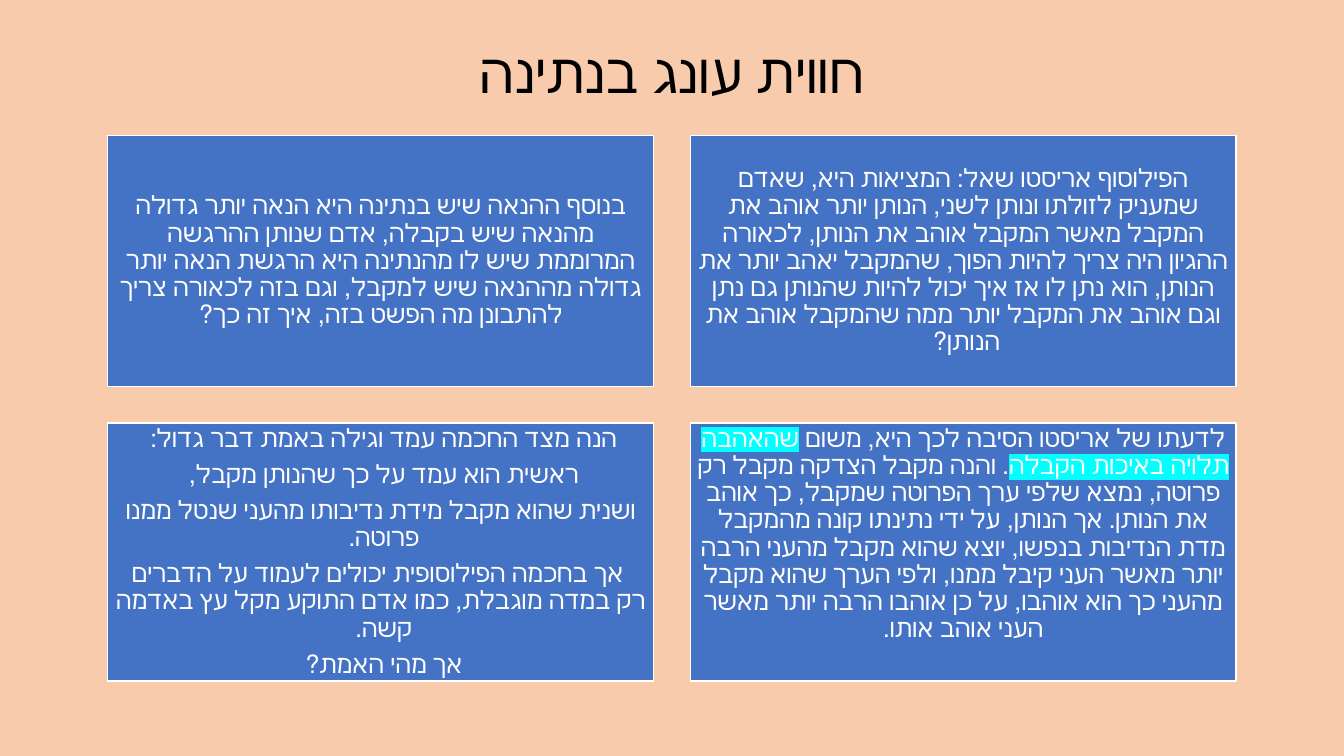
from lxml import etree
from pptx import Presentation
from pptx import util as u
from pptx.dml.color import RGBColor
from pptx.enum import shapes, text
from pptx.oxml import ns

TITLE = "חווית עונג בנתינה"

# Each card is a list of paragraphs, each paragraph a list of (words, highlighted)
QUESTION = [[("הפילוסוף אריסטו שאל: המציאות היא, שאדם שמעניק לזולתו ונותן לשני, הנותן יותר אוהב את המקבל מאשר המקבל אוהב את הנותן, לכאורה ההגיון היה צריך להיות הפוך, שהמקבל יאהב יותר את הנותן, הוא נתן לו אז איך יכול להיות שהנותן גם נתן וגם אוהב את המקבל יותר ממה שהמקבל אוהב את הנותן? ", False)]]
PLEASURE = [[("בנוסף ההנאה שיש בנתינה היא הנאה יותר גדולה מהנאה שיש בקבלה, אדם שנותן ההרגשה המרוממת שיש לו מהנתינה היא הרגשת הנאה יותר גדולה מההנאה שיש למקבל, וגם בזה לכאורה צריך להתבונן מה הפשט בזה, איך זה כך?", False)]]
ANSWER = [[
    ("לדעתו של אריסטו הסיבה לכך היא, משום ", False),
    ("שהאהבה תלויה באיכות הקבלה", True),
    (". והנה מקבל הצדקה מקבל רק פרוטה, נמצא שלפי ערך הפרוטה שמקבל, כך אוהב את הנותן. אך הנותן, על ידי נתינתו קונה מהמקבל מדת הנדיבות בנפשו, יוצא שהוא מקבל מהעני הרבה יותר מאשר העני קיבל ממנו, ולפי הערך שהוא מקבל מהעני כך הוא אוהבו, על כן אוהבו הרבה יותר מאשר העני אוהב אותו.", False),
]]
WISDOM = [
    [("הנה מצד החכמה עמד וגילה באמת דבר גדול: ", False)],
    [("ראשית הוא עמד על כך שהנותן מקבל, ", False)],
    [("ושנית שהוא מקבל מידת נדיבותו מהעני שנטל ממנו פרוטה. ", False)],
    [(" אך בחכמה הפילוסופית יכולים לעמוד על הדברים רק במדה מוגבלת, כמו אדם התוקע מקל עץ באדמה קשה. ", False)],
    [("אך מהי האמת? ", False)],
]

# Rows from top to bottom: height in cm, then (card, bottom inset in cm) from right to left
ROWS = [
    (6.32, [(QUESTION, 0.18), (PLEASURE, 0.18)]),
    (6.5, [(ANSWER, 1.07), (WISDOM, 0.18)]),
]
COLORS = {"background": "F8CBAD", "card": "4472C4", "light": "FFFFFF",
          "title": "000000", "highlight": "00FFFF"}
FONT = "Calibri"
SLIDE_W, SLIDE_H = 33.87, 19.05
CARD_W, GAP, CARDS_TOP, INSET = 13.76, 0.92, 3.42, 0.18
CARDS_RIGHT = (SLIDE_W + 2 * CARD_W + GAP) / 2


def color(name):
    return RGBColor.from_string(COLORS[name])


def write(paragraph, runs, size, color_name):
    """Fill a centred right-to-left paragraph, run by run."""
    paragraph.alignment = text.PP_ALIGN.CENTER
    paragraph.line_spacing = 0.9
    paragraph._p.get_or_add_pPr().set("rtl", "1")
    for words, highlighted in runs:
        run = paragraph.add_run()
        run.text = words
        run.font.size = u.Pt(size)
        run.font.name = FONT
        run.font.color.rgb = color(color_name)
        if highlighted:
            marker = etree.Element(ns.qn("a:highlight"))
            etree.SubElement(marker, ns.qn("a:srgbClr"), val=COLORS["highlight"])
            run._r.get_or_add_rPr().find(ns.qn("a:solidFill")).addnext(marker)


def add_card(slide, left, top, height, paragraphs, bottom_inset):
    card = slide.shapes.add_shape(shapes.MSO_SHAPE.RECTANGLE, u.Cm(left), u.Cm(top),
                                  u.Cm(CARD_W), u.Cm(height))
    card.shadow.inherit = False
    card.fill.solid()
    card.fill.fore_color.rgb = color("card")
    card.line.color.rgb = color("light")
    card.line.width = u.Pt(1)
    frame = card.text_frame
    frame.word_wrap = True
    frame.vertical_anchor = text.MSO_ANCHOR.MIDDLE
    frame.margin_left = frame.margin_right = frame.margin_top = u.Cm(INSET)
    frame.margin_bottom = u.Cm(bottom_inset)
    for i, runs in enumerate(paragraphs):
        paragraph = frame.add_paragraph() if i else frame.paragraphs[0]
        if i:
            paragraph.space_before = u.Pt(6.3)
        write(paragraph, runs, 18, "light")


def main():
    deck = Presentation()
    deck.slide_width, deck.slide_height = u.Cm(SLIDE_W), u.Cm(SLIDE_H)
    slide = deck.slides.add_slide(deck.slide_layouts[5])
    slide.background.fill.solid()
    slide.background.fill.fore_color.rgb = color("background")

    # Title
    title = slide.shapes.title
    title.left, title.top = u.Cm(2.33), u.Cm(1.02)
    title.width, title.height = u.Cm(29.21), u.Cm(1.78)
    title.text_frame.vertical_anchor = text.MSO_ANCHOR.MIDDLE
    write(title.text_frame.paragraphs[0], [(TITLE, False)], 39.6, "title")

    # Cards, read from right to left
    top = CARDS_TOP
    for height, cards in ROWS:
        for column, (paragraphs, bottom_inset) in enumerate(cards):
            left = CARDS_RIGHT - CARD_W - column * (CARD_W + GAP)
            add_card(slide, left, top, height, paragraphs, bottom_inset)
        top += height + GAP

    deck.save("out.pptx")


if __name__ == "__main__":
    main()
